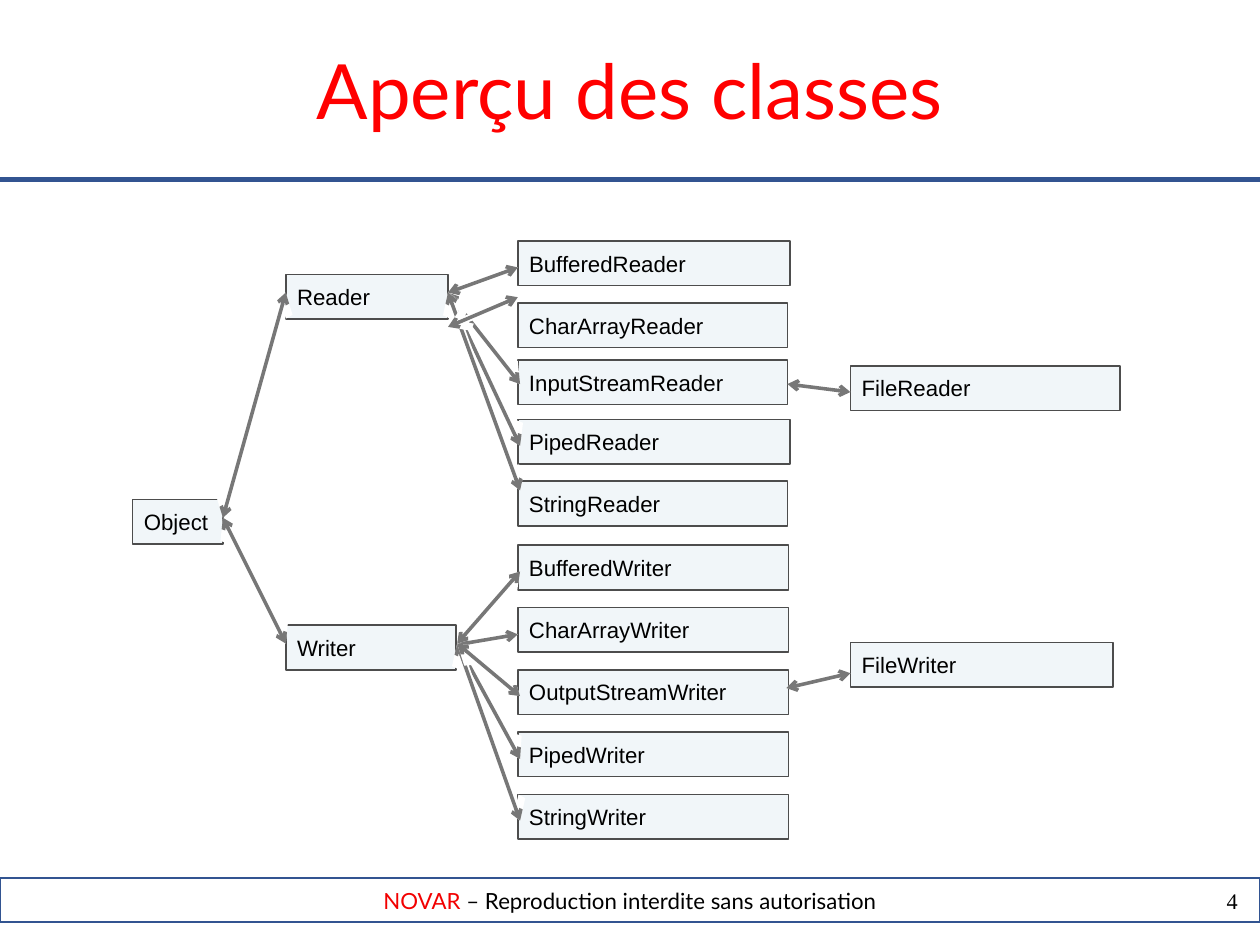
from lxml import etree
from pptx import Presentation
from pptx.dml.color import RGBColor
from pptx.enum.shapes import MSO_CONNECTOR, MSO_SHAPE
from pptx.enum.text import MSO_ANCHOR, PP_ALIGN
from pptx.oxml.ns import qn
from pptx.util import Inches, Pt

STRAIGHT = MSO_CONNECTOR.STRAIGHT
RECTANGLE = MSO_SHAPE.RECTANGLE
TOP, MIDDLE = MSO_ANCHOR.TOP, MSO_ANCHOR.MIDDLE
LEFT, CENTER, RIGHT = PP_ALIGN.LEFT, PP_ALIGN.CENTER, PP_ALIGN.RIGHT

# The page measures 28 by 21 cm
SLIDE_W, SLIDE_H = 28 / 2.54, 21 / 2.54
TITLE = "Aperçu des classes"
FOOTER = [("NOVAR", "F20000"), (" – Reproduction interdite sans autorisation", "000000")]
PAGE_NUMBER = "4"
BLUE, BLACK = "325491", "000000"

BOX_H = 0.39
BASE_X, FAMILY_X, CLASS_X, FILE_X = 1.16, 2.5, 4.53, 7.44
WRITER_TOP, WRITER_BOTTOM, WRITER_W = 4.77, 6.95, 2.37
WRITERS = ["BufferedWriter", "CharArrayWriter", "OutputStreamWriter",
           "PipedWriter", "StringWriter"]

# class: (left, top, width)
CLASSES = {
    "Object": (BASE_X, 4.37, 0.79),
    "Reader": (FAMILY_X, 2.4, 1.42),
    "Writer": (FAMILY_X, 5.47, 1.49),
    "BufferedReader": (CLASS_X, 2.11, 2.38),
    "CharArrayReader": (CLASS_X, 2.65, 2.36),
    "InputStreamReader": (CLASS_X, 3.15, 2.36),
    "PipedReader": (CLASS_X, 3.67, 2.38),
    "StringReader": (CLASS_X, 4.21, 2.36),
    "FileReader": (FILE_X, 3.2, 2.36),
    "FileWriter": (FILE_X, 5.62, 2.3),
}
writer_pitch = (WRITER_BOTTOM - WRITER_TOP) / (len(WRITERS) - 1)
for row, writer in enumerate(WRITERS):
    CLASSES[writer] = (CLASS_X, WRITER_TOP + row * writer_pitch, WRITER_W)

# (parent, child, (x, y) at parent, (x, y) at child), back to front
READER_PORT, WRITER_PORT, OBJECT_PORT = (3.92, 2.56), (4, 5.63), (1.95, 4.53)
LINKS = [
    (READER_PORT, (4.55, 3.36)),
    (READER_PORT, (4.55, 3.9)),
    (READER_PORT, (4.55, 4.29)),
    (READER_PORT, (CLASS_X, 2.34)),
    ((6.89, 3.36), (FILE_X, 3.43)),
    ((4, 5.64), (CLASS_X, 5.55)),
    (WRITER_PORT, (4.55, 6.64)),
    (OBJECT_PORT, (FAMILY_X, 2.56)),
    (OBJECT_PORT, (FAMILY_X, 5.63)),
    (WRITER_PORT, (4.55, 7.18)),
    (WRITER_PORT, (4.55, 5)),
    (WRITER_PORT, (4.55, 6.09)),
    ((6.88, 6.02), (FILE_X, 5.89)),
    ((3.92, 2.86), (CLASS_X, 2.6)),
]
LINK_STROKES = [("FFFFFF", 4.5), ("777777", 2.25)]

prs = Presentation()
prs.slide_width, prs.slide_height = Inches(SLIDE_W), Inches(SLIDE_H)
slide = prs.slides.add_slide(prs.slide_layouts[6])


def rgb(hex_color):
    return RGBColor.from_string(hex_color)


def write(shape, runs, size, font, align, anchor, margins):
    """Put (text, colour) runs in one paragraph; margins are (side, top and bottom)."""
    frame = shape.text_frame
    frame.word_wrap = True
    frame.vertical_anchor = anchor
    frame.margin_left = frame.margin_right = Inches(margins[0])
    frame.margin_top = frame.margin_bottom = Inches(margins[1])
    paragraph = frame.paragraphs[0]
    paragraph.alignment = align
    for text, color in runs:
        run = paragraph.add_run()
        run.text = text
        run.font.size, run.font.name = Pt(size), font
        run.font.color.rgb = rgb(color)


def add_rectangle(left, top, width, height, line_color, line_width):
    shape = slide.shapes.add_shape(
        RECTANGLE, Inches(left), Inches(top), Inches(width), Inches(height))
    shape.shadow.inherit = False
    shape.fill.background()
    shape.line.color.rgb = rgb(line_color)
    shape.line.width = Pt(line_width)
    return shape


def add_line(start, end, color, width, arrows=False):
    line = slide.shapes.add_connector(
        STRAIGHT, *(Inches(value) for value in (*start, *end)))
    line.line.color.rgb = rgb(color)
    line.line.width = Pt(width)
    properties = line._element.spPr
    if arrows:
        for tag in ("a:headEnd", "a:tailEnd"):
            etree.SubElement(properties.find(qn("a:ln")), qn(tag), type="arrow")
    etree.SubElement(properties, qn("a:effectLst"))


def add_text(left, top, width, height, *text_settings):
    box = slide.shapes.add_textbox(
        Inches(left), Inches(top), Inches(width), Inches(height))
    write(box, *text_settings)


def add_class(name, left, top, width):
    box = add_rectangle(left, top, width, BOX_H, "4D4D4D", 1)
    box.fill.solid()
    box.fill.fore_color.rgb = rgb("A5C3DB")
    tint = box._element.spPr.find(qn("a:solidFill")).find(qn("a:srgbClr"))
    etree.SubElement(tint, qn("a:alpha"), val="15000")
    write(box, [(name, BLACK)], 14, "Arial", LEFT, MIDDLE, (0.1, 0.05))


footer = add_rectangle(0, 7.68, SLIDE_W, 0.39, BLUE, 1.42)
write(footer, FOOTER, 14, "Lato", CENTER, MIDDLE, (0.01, 0.01))
add_line((0, 1.57), (SLIDE_W, 1.57), BLUE, 2.83)
add_text(8.26, 7.76, 2.57, 0.42,
         [(PAGE_NUMBER, BLACK)], 14, "Times New Roman", RIGHT, TOP, (0, 0))
for class_name, place in CLASSES.items():
    add_class(class_name, *place)
for parent_end, child_end in LINKS:
    for stroke_color, stroke_width in LINK_STROKES:
        add_line(parent_end, child_end, stroke_color, stroke_width, arrows=True)
add_text(0.59, 0.33, 9.84, 0.87,
         [(TITLE, "FF0000")], 48, "Lato", CENTER, TOP, (0.1, 0.05))

prs.save("out.pptx")
